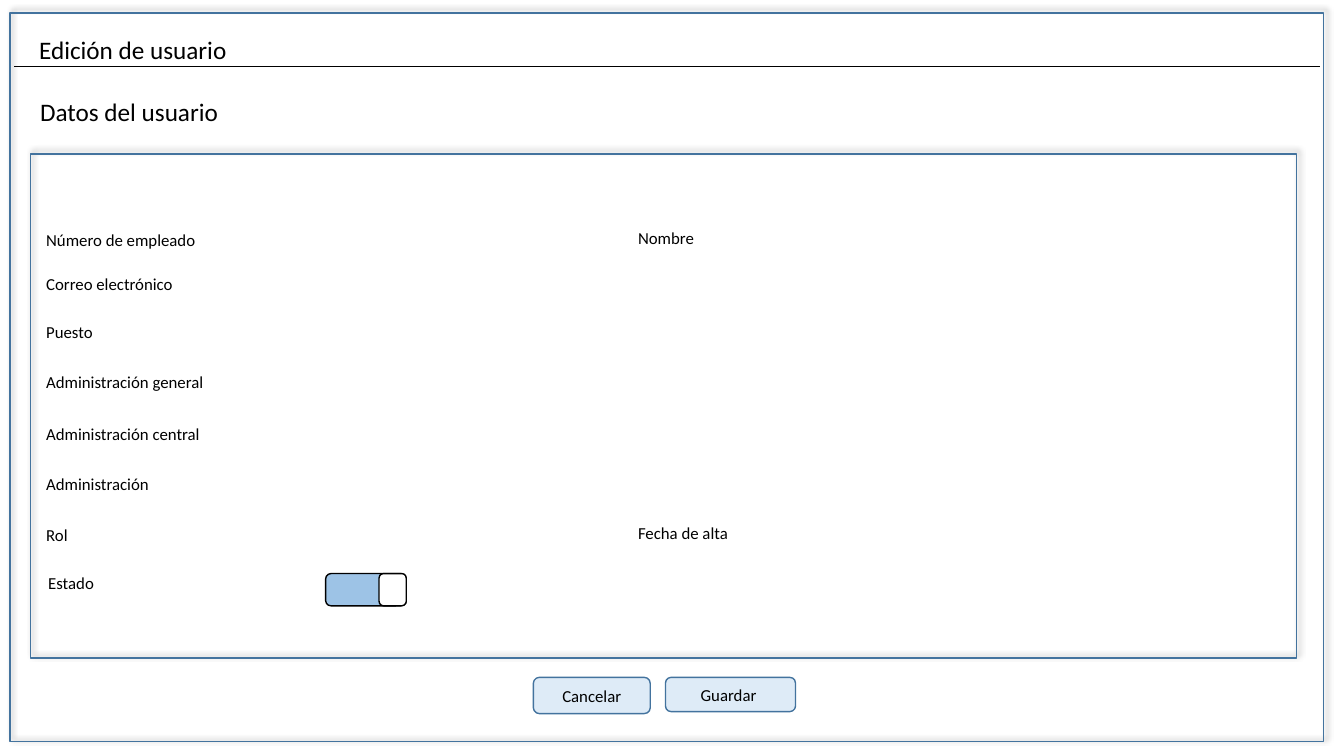
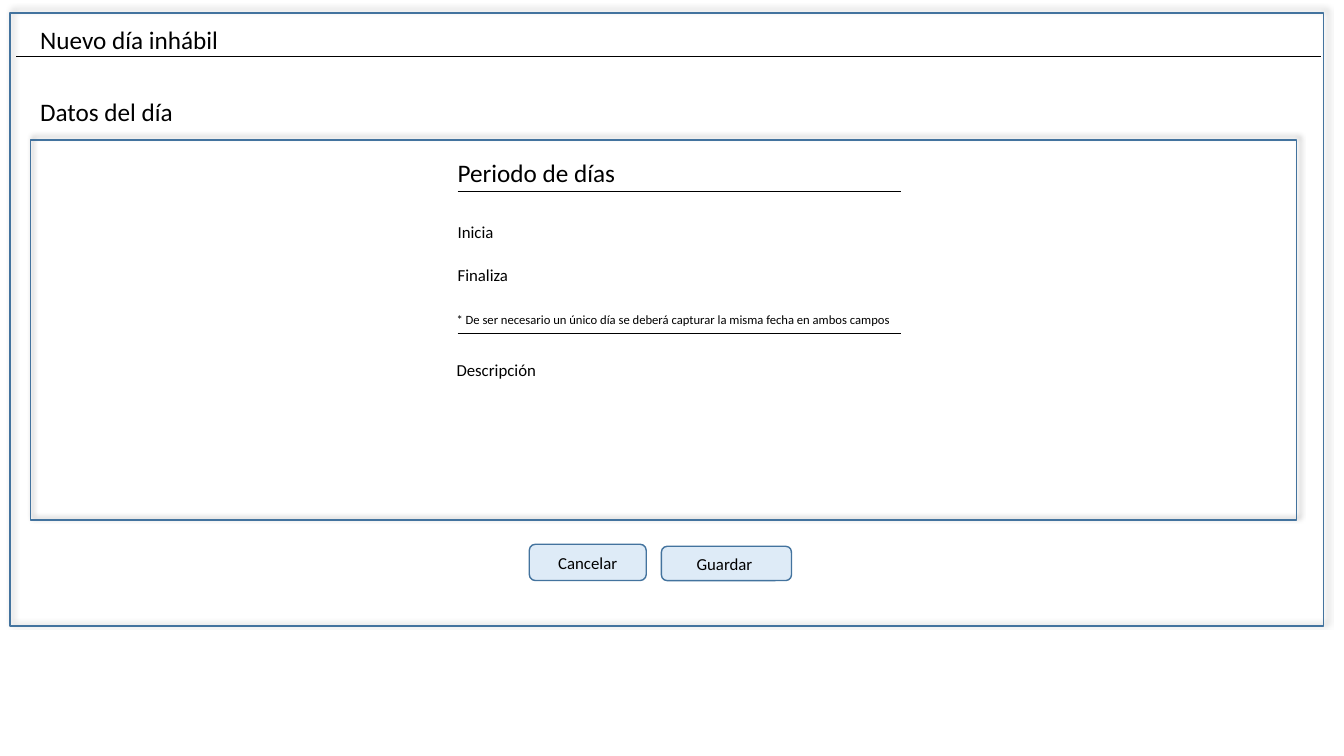
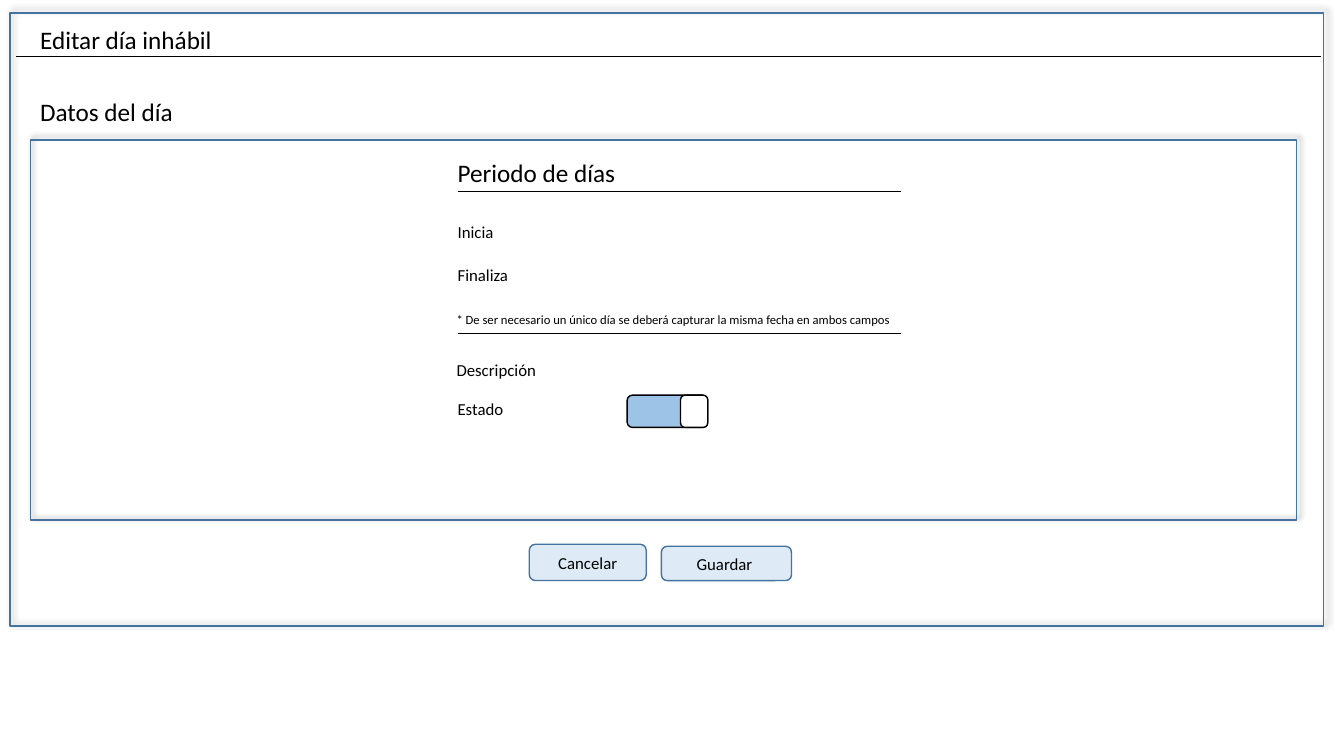
from dataclasses import dataclass

from lxml import etree
from pptx import Presentation
from pptx.dml.color import RGBColor
from pptx.enum.shapes import MSO_CONNECTOR, MSO_SHAPE
from pptx.enum.text import MSO_ANCHOR, MSO_AUTO_SIZE, PP_ALIGN
from pptx.oxml.ns import qn
from pptx.util import Pt

PX = 9144
RECT, ROUND = MSO_SHAPE.RECTANGLE, MSO_SHAPE.ROUNDED_RECTANGLE
STRAIGHT = MSO_CONNECTOR.STRAIGHT
CENTER, MIDDLE = PP_ALIGN.CENTER, MSO_ANCHOR.MIDDLE
GROW = MSO_AUTO_SIZE.SHAPE_TO_FIT_TEXT


@dataclass(frozen=True)
class Theme:
    """Colours, font and sizes shared by every form."""
    font: str = "Calibri"
    ink: str = "000000"
    border: str = "43739E"
    button: str = "DEEBF7"
    switch: str = "9DC3E6"
    knob: str = "FFFFFF"
    heading: int = 18
    label: int = 12
    note: int = 9
    outline: float = 1
    rule: float = 0.5


THEME = Theme()


def px(*lengths):
    """Turn px lengths into EMU."""
    return [length * PX for length in lengths]


def apply(target, values):
    """Set each named attribute on the target."""
    for name, value in values.items():
        setattr(target, name, value)


def write(frame, text, size, align=None):
    """Write one styled paragraph into a text frame."""
    para = frame.paragraphs[0]
    para.alignment = align
    span = para.add_run()
    span.text = text
    apply(span.font, {"name": THEME.font, "size": Pt(size)})
    span.font.color.rgb = RGBColor.from_string(THEME.ink)


def add_text(page, text, left, top, width=337, height=30, size=THEME.label):
    """Add a text box that grows with its text."""
    box = page.shapes.add_textbox(*px(left, top, width, height))
    apply(box.text_frame, {"word_wrap": True, "auto_size": GROW})
    write(box.text_frame, text, size)


def add_heading(page, text, left, top, width=483):
    """Add a heading in the large size."""
    add_text(page, text, left, top, width, 40, THEME.heading)


def add_block(page, kind, bounds, line, fill=None):
    """Add an outlined shape without shadow, filled if a colour is given."""
    shape = page.shapes.add_shape(kind, *px(*bounds))
    shape.shadow.inherit = False
    if fill:
        shape.fill.solid()
        shape.fill.fore_color.rgb = RGBColor.from_string(fill)
    else:
        shape.fill.background()
    shape.line.color.rgb = RGBColor.from_string(line)
    shape.line.width = Pt(THEME.outline)
    return shape


def add_panel(page, left, top, width, height):
    """Add an unfilled frame with a soft shadow up and to the right."""
    shape = add_block(page, RECT, (left, top, width, height), THEME.border)
    effects = shape._element.spPr.find(qn("a:effectLst"))
    shadow = etree.SubElement(effects, qn("a:outerShdw"), {
        "blurRad": str(Pt(4)), "dist": str(Pt(3)), "dir": str(315 * 60000),
        "algn": "bl", "rotWithShape": "0"})
    color = etree.SubElement(shadow, qn("a:srgbClr"), val=THEME.ink)
    etree.SubElement(color, qn("a:alpha"), val="40000")


def add_rule(page, left, right, top):
    """Add a thin horizontal line."""
    rule = page.shapes.add_connector(STRAIGHT, *px(left, top, right, top))
    rule.line.color.rgb = RGBColor.from_string(THEME.ink)
    rule.line.width = Pt(THEME.rule)
    etree.SubElement(rule._element.spPr, qn("a:effectLst"))


def add_button(page, text, *bounds):
    """Add a rounded button with a centred caption."""
    shape = add_block(page, ROUND, bounds, THEME.border, THEME.button)
    shape.text_frame.vertical_anchor = MIDDLE
    write(shape.text_frame, text, THEME.label, CENTER)


def add_buttons(page, left, cancel_top, save_top):
    """Add the cancel and save pair."""
    add_button(page, "Cancelar", left, cancel_top, 116, 36)
    add_button(page, "Guardar ", left + 131, save_top, 129, 34)


def add_switch(page, left, top):
    """Add a switch in its on position."""
    width, knob, height = 80, 27, 32
    add_block(page, ROUND, (left, top, width, height), THEME.ink, THEME.switch)
    add_block(page, ROUND, (left + width - knob, top, knob, height),
              THEME.ink, THEME.knob)


def add_form(deck, title, section, height, title_at, rule_at, panel):
    """Add a page with its outer frame, title, section heading and panel."""
    page = deck.slides.add_slide(deck.slide_layouts[6])
    add_panel(page, 10, 13, 1303, height)
    add_panel(page, 30, panel[0], 1256, panel[1])
    add_heading(page, title, *title_at)
    add_heading(page, section, 30, 91)
    add_rule(page, *rule_at)
    return page


def add_user_form(deck):
    """Add the form that edits a user."""
    page = add_form(deck, "Edición de usuario", "Datos del usuario", 723,
                    (29, 29), (14, 1309, 66), (153, 500))
    for text, left, top in (
            ("Número de empleado", 36, 223), ("Nombre", 623, 221),
            ("Correo electrónico", 36, 267), ("Puesto", 36, 314),
            ("Administración general", 36, 364),
            ("Administración central", 36, 415),
            ("Administración", 36, 465), ("Rol", 36, 516),
            ("Fecha de alta", 623, 514), ("Estado", 38, 563)):
        add_text(page, text, left, top)
    add_switch(page, 323, 569)
    add_buttons(page, 529, 672, 672)


def add_day_form(deck, title, has_state=False):
    """Add a form for a non-working day, with its state if asked."""
    page = add_form(deck, title, "Datos del día", 608,
                    (30, 19), (16, 1310, 56), (139, 377))
    add_heading(page, "Periodo de días", 444, 151)
    for top in (190, 331):
        add_rule(page, 454, 894, top)
    for text, left, top in (("Inicia", 444, 215), ("Finaliza", 444, 258),
                            ("Descripción", 443, 352)):
        add_text(page, text, left, top)
    add_text(page, "* De ser necesario un único día se deberá capturar "
             "la misma fecha en ambos campos", 443, 304, 483, 25, THEME.note)
    if has_state:
        add_text(page, "Estado", 444, 391)
        add_switch(page, 622, 392)
    add_buttons(page, 525, 540, 542)


def main():
    """Build and save the deck."""
    deck = Presentation()
    deck.slide_width, deck.slide_height = px(1333, 750)
    add_user_form(deck)
    add_day_form(deck, "Nuevo día inhábil")
    add_day_form(deck, "Editar día inhábil", has_state=True)
    deck.save("out.pptx")


if __name__ == "__main__":
    main()
